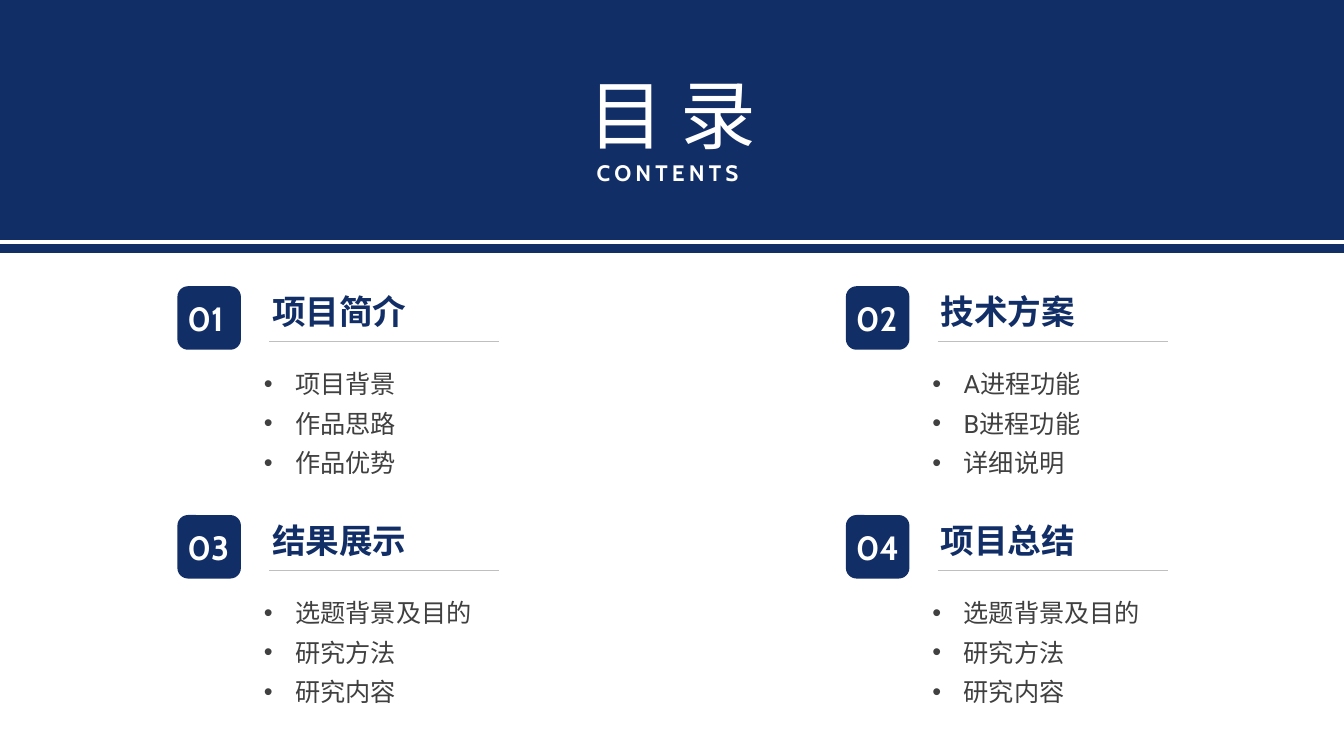
from lxml import etree
from pptx import Presentation
from pptx.dml.color import RGBColor
from pptx.enum.lang import MSO_LANGUAGE_ID
from pptx.enum.shapes import MSO_CONNECTOR, MSO_SHAPE
from pptx.enum.text import MSO_AUTO_SIZE, PP_ALIGN
from pptx.oxml.ns import qn
from pptx.util import Inches, Pt

TOPICS = [
    ("项目简介", ["项目背景", "作品思路", "作品优势"]),
    ("技术方案", ["A进程功能", "B进程功能", "详细说明"]),
    ("结果展示", ["选题背景及目的", "研究方法", "研究内容"]),
    ("项目总结", ["选题背景及目的", "研究方法", "研究内容"]),
]
NAVY, WHITE, GREY, DARK = "122E66", "FFFFFF", "BFBFBF", "404040"
HEAD, LATIN, BODY = "Noto Sans CJK JP", "Cabin", "Roboto"
WIDTH, HEIGHT = 13.33, 7.5
LEFT, TOP = 1.76, 2.84
COL_STEP, ROW_STEP = 6.63, 2.27
INDENT = Inches(0.31)
RECT, ROUND = MSO_SHAPE.RECTANGLE, MSO_SHAPE.ROUNDED_RECTANGLE
LINE = MSO_CONNECTOR.STRAIGHT
CENTER, FIT = PP_ALIGN.CENTER, MSO_AUTO_SIZE.SHAPE_TO_FIT_TEXT
CHINESE = MSO_LANGUAGE_ID.SIMPLIFIED_CHINESE

prs = Presentation()
prs.slide_width, prs.slide_height = Inches(WIDTH), Inches(HEIGHT)
slide = prs.slides.add_slide(prs.slide_layouts[6])
shapes = slide.shapes


def color(code):
    return RGBColor.from_string(code)


def block(kind, x, y, w, h):
    shape = shapes.add_shape(kind, Inches(x), Inches(y), Inches(w), Inches(h))
    shape.shadow.inherit = False
    shape.fill.solid()
    shape.fill.fore_color.rgb = color(NAVY)
    shape.line.fill.background()


def rule(x, y, w, tint, weight):
    line = shapes.add_connector(LINE, Inches(x), Inches(y), Inches(x + w), Inches(y))
    line.line.color.rgb = color(tint)
    line.line.width = Pt(weight)
    etree.SubElement(line._element.spPr, qn("a:effectLst"))


def write(lines, x, y, w, h, size, face, tint, bold=False, align=None,
          space=0, bullet=False):
    """Add a text box with one paragraph per line; space is letter spacing in points."""
    box = shapes.add_textbox(Inches(x), Inches(y), Inches(w), Inches(h))
    frame = box.text_frame
    frame.word_wrap = True
    frame.auto_size = FIT
    for i, text in enumerate(lines):
        para = frame.add_paragraph() if i else frame.paragraphs[0]
        para.alignment = align
        if bullet:
            para.line_spacing = 1.3
            props = para._p.get_or_add_pPr()
            props.set("marL", str(INDENT))
            props.set("indent", str(-INDENT))
            etree.SubElement(props, qn("a:buFont"), typeface="Arial")
            etree.SubElement(props, qn("a:buChar"), char="•")
        run = para.add_run()
        run.text = text
        font = run.font
        font.size, font.name, font.bold = Pt(size), face, bold
        font.color.rgb = color(tint)
        font.language_id = CHINESE
        props = run._r.get_or_add_rPr()
        etree.SubElement(props, qn("a:ea"), typeface=face)
        if space:
            props.set("spc", str(space * 100))


block(RECT, 0, 0, WIDTH, 2.51)
write(["目 录"], 5.48, 0.62, 2.38, 1.01, 54, HEAD, WHITE, align=CENTER)
write(["CONTENTS"], 5.82, 1.53, 1.93, 0.37, 16, LATIN, WHITE, bold=True, space=3)
rule(0, 2.4, WIDTH, WHITE, 2.75)

for i, (title, items) in enumerate(TOPICS):
    row, col = divmod(i, 2)
    x, y = LEFT + col * COL_STEP, TOP + row * ROW_STEP
    write(items, x + 0.76, y + 0.68, 2.43, 1.26, 18, BODY, DARK, bullet=True)
    rule(x + 0.91, y + 0.55, 2.28, GREY, 0.75)
    block(ROUND, x, y, 0.63, 0.63)
    write([f"{i + 1:02}"], x, y + 0.07, 0.75, 0.5, 24, LATIN, WHITE, bold=True)
    write([title], x + 0.84, y, 1.58, 0.5, 24, BODY, NAVY, bold=True)

prs.save("out.pptx")
